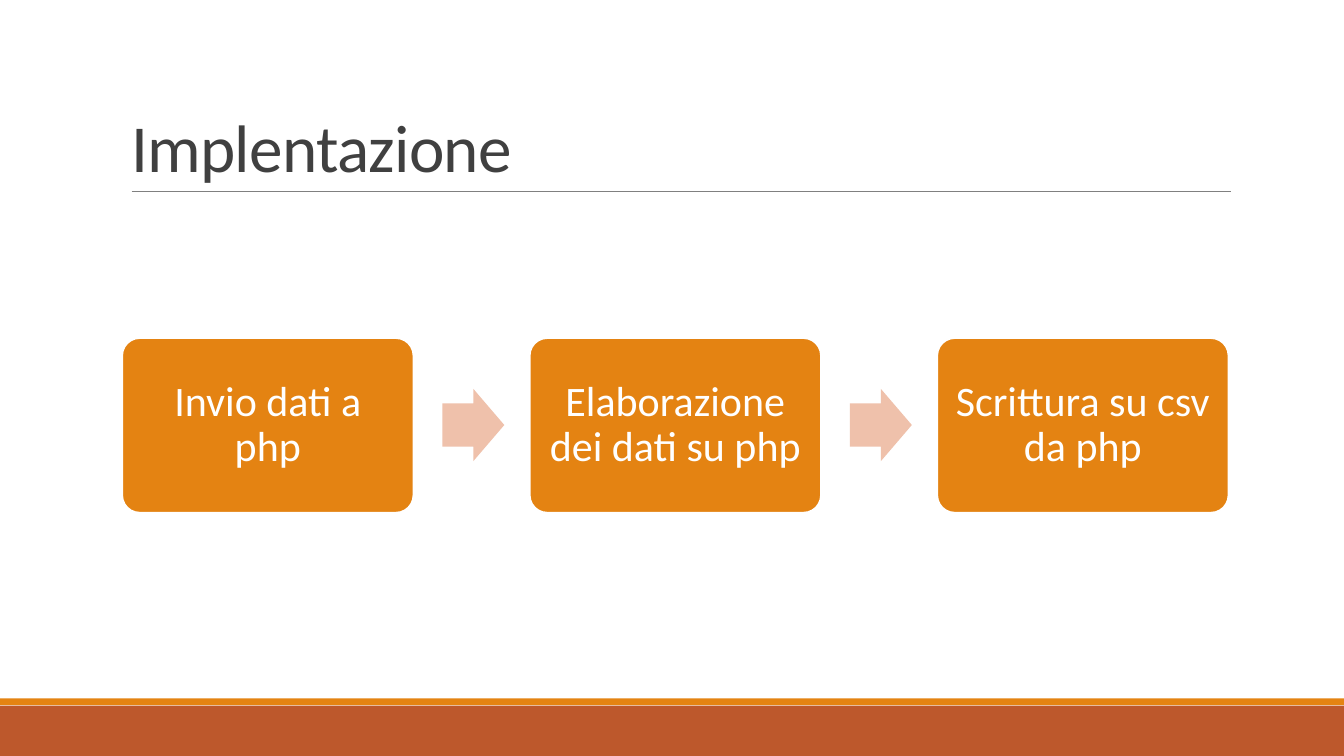
"""Build a slide with a three-step process under a title."""
from dataclasses import dataclass

from lxml.etree import SubElement
from pptx import Presentation
from pptx.dml.color import RGBColor as Rgb
from pptx.enum.shapes import MSO_CONNECTOR as Link, MSO_SHAPE as Kind
from pptx.enum.text import MSO_ANCHOR as Anchor, MSO_AUTO_SIZE as Fit, PP_ALIGN as Align
from pptx.oxml.ns import qn
from pptx.util import Cm, Pt


@dataclass(frozen=True)
class Theme:
    font: str = "Calibri"
    head: int = 48
    body: int = 30
    dark: str = "404040"
    rule: str = "808080"
    white: str = "FFFFFF"
    main: str = "E48312"
    base: str = "BD582C"
    pale: str = "EFC1AB"


class Deck:
    def __init__(self, theme, wide, high):
        self.theme = theme
        self.file = Presentation()
        self.file.slide_width, self.file.slide_height = Cm(wide), Cm(high)
        self.slide = self.file.slides.add_slide(self.file.slide_layouts[5])

    def label(self, shape, text, size, color, align, lead, anchor):
        frame = shape.text_frame
        frame.text = text
        frame.word_wrap = True
        frame.auto_size = Fit.NONE
        frame.vertical_anchor = anchor
        para = frame.paragraphs[0]
        para.alignment, para.line_spacing = align, lead
        run = para.runs[0]
        run.font.name, run.font.size = self.theme.font, Pt(size)
        run.font.color.rgb = Rgb.from_string(color)
        return run

    def title(self, text, left, top, wide, high):
        shape = self.slide.shapes.title
        shape.left, shape.top, shape.width, shape.height = map(Cm, (left, top, wide, high))
        run = self.label(shape, text, self.theme.head, self.theme.dark,
                         Align.LEFT, 0.85, Anchor.BOTTOM)
        run.font._element.set("spc", "-50")

    def block(self, kind, left, top, wide, high, fill):
        shape = self.slide.shapes.add_shape(kind, *map(Cm, (left, top, wide, high)))
        shape.shadow.inherit = False
        shape.fill.solid()
        shape.fill.fore_color.rgb = Rgb.from_string(fill)
        shape.line.fill.background()
        return shape

    def step(self, text, left, top, wide, high):
        box = self.block(Kind.ROUNDED_RECTANGLE, left, top, wide, high, self.theme.main)
        box.adjustments[0] = 0.1
        box.line.color.rgb = Rgb.from_string(self.theme.white)
        box.line.width = Pt(1.25)
        frame = box.text_frame
        frame.margin_left = frame.margin_right = Cm(0.3)
        frame.margin_top = frame.margin_bottom = Cm(0.3)
        self.label(box, text, self.theme.body, self.theme.white,
                   Align.CENTER, 0.9, Anchor.MIDDLE)

    def arrow(self, left, top, wide, high):
        shape = self.block(Kind.RIGHT_ARROW, left, top, wide, high, self.theme.pale)
        shape.adjustments[0] = 0.6

    def rule(self, left, right, top):
        line = self.slide.shapes.add_connector(
            Link.STRAIGHT, *map(Cm, (left, top, right, top)))
        line.line.color.rgb = Rgb.from_string(self.theme.rule)
        line.line.width = Pt(0.5)
        SubElement(line._element.spPr, qn("a:effectLst"))


def main():
    theme = Theme()
    wide, high = 33.87, 19.05
    deck = Deck(theme, wide, high)
    deck.block(Kind.RECTANGLE, 0, 17.78, wide, 1.27, theme.base)
    deck.block(Kind.RECTANGLE, 0, 17.6, wide, 0.17, theme.main)
    deck.rule(3.32, 31.01, 4.82)
    deck.title("Implentazione", 3.05, 0.79, 27.94, 4.03)

    steps = ("Invio dati a php", "Elaborazione dei dati su php", "Scrittura su csv da php")
    start, pitch = 3.08, 10.27
    for num, text in enumerate(steps):
        left = start + num * pitch
        if num:
            deck.arrow(left - 2.2, 9.8, 1.56, 1.82)
        deck.step(text, left, 8.52, 7.34, 4.4)
    deck.file.save("out.pptx")


if __name__ == "__main__":
    main()
